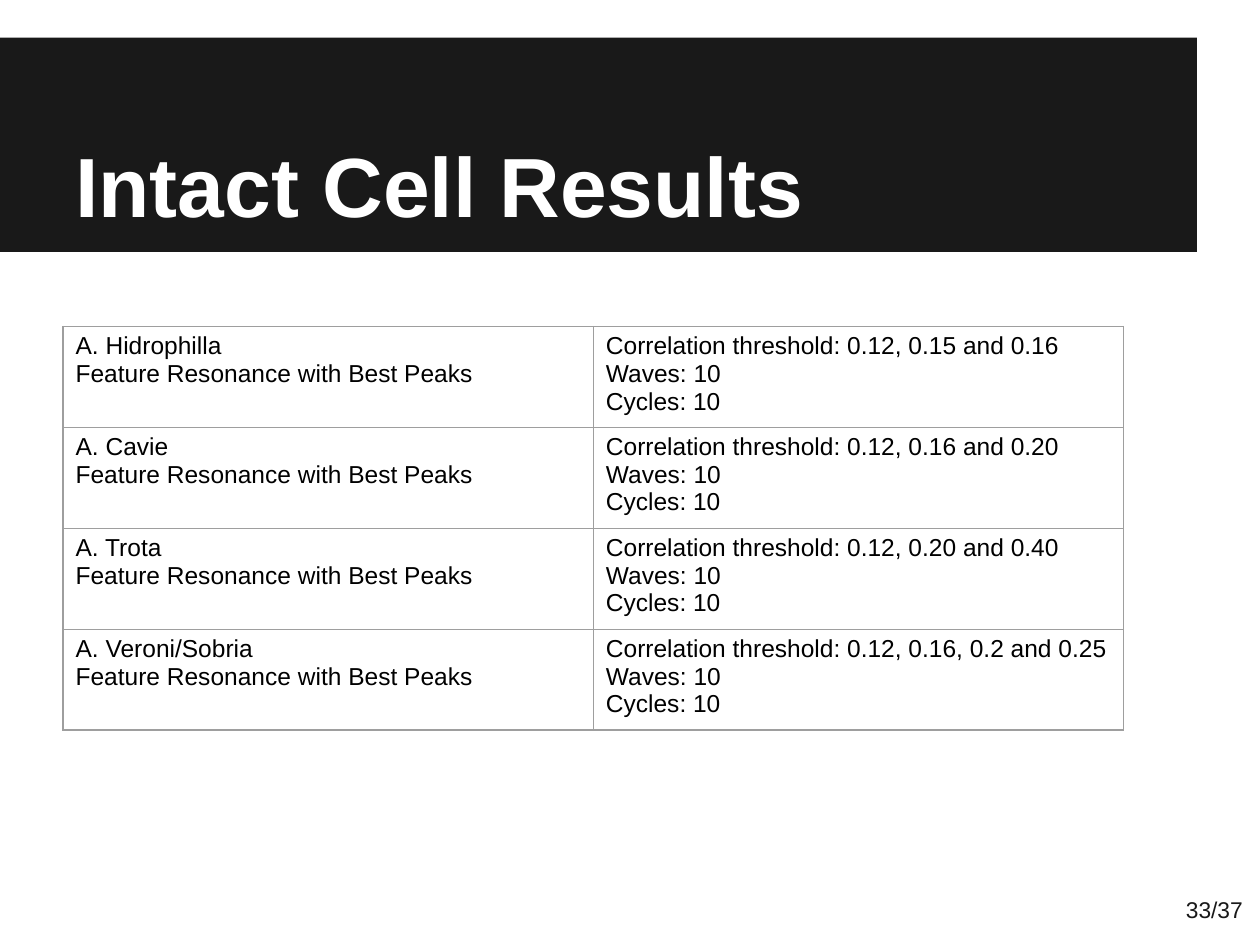
from lxml.etree import SubElement
from pptx import Presentation
from pptx.dml.color import RGBColor
from pptx.enum.shapes import MSO_SHAPE as SHAPE
from pptx.enum.text import MSO_ANCHOR as ANCHOR, PP_ALIGN as ALIGN
from pptx.oxml.ns import qn
from pptx.util import Cm, Pt

DARK = RGBColor(0x19, 0x19, 0x19)
WHITE = RGBColor(0xFF, 0xFF, 0xFF)
BLACK = RGBColor(0x00, 0x00, 0x00)
GREY = RGBColor(0x9E, 0x9E, 0x9E)

METHOD = "Feature Resonance with Best Peaks"
SETTINGS = "Waves: 10\nCycles: 10"
RESULTS = [
    ("A. Hidrophilla", "0.12, 0.15 and 0.16"),
    ("A. Cavie", "0.12, 0.16 and 0.20"),
    ("A. Trota", "0.12, 0.20 and 0.40"),
    ("A. Veroni/Sobria", "0.12, 0.16, 0.2 and 0.25"),
]


def set_attrs(obj, values):
    for name, value in values.items():
        setattr(obj, name, value)


def format_text(tf, size, color, bold=False, align=ALIGN.LEFT):
    for p in tf.paragraphs:
        p.alignment = align
        for r in p.runs:
            set_attrs(r.font, {"name": "Arial", "size": Pt(size), "bold": bold})
            r.font.color.rgb = color


def format_frame(tf, anchor):
    inset = Cm(0.25)
    set_attrs(tf, {"word_wrap": True, "vertical_anchor": anchor,
                   "margin_left": inset, "margin_right": inset,
                   "margin_top": inset, "margin_bottom": inset})


def set_borders(cell):
    tc_pr = cell._tc.get_or_add_tcPr()
    for index, side in enumerate(("lnL", "lnR", "lnT", "lnB")):
        ln = tc_pr.makeelement(qn(f"a:{side}"), {"w": str(Pt(0.75))})
        fill = SubElement(ln, qn("a:solidFill"))
        SubElement(fill, qn("a:srgbClr"), val=str(GREY))
        tc_pr.insert(index, ln)


def add_title_band(s, left, top, width, height):
    title = s.shapes.title
    band = s.shapes.add_shape(SHAPE.RECTANGLE, left, top, width, height)
    band.shadow.inherit = False
    band.fill.solid()
    band.fill.fore_color.rgb = DARK
    band.line.fill.background()
    title._element.addprevious(band._element)

    set_attrs(title, {"left": left + Cm(1.27), "top": top,
                      "width": width - Cm(1.27), "height": height - Cm(0.1)})
    tf = title.text_frame
    tf.text = "Intact Cell Results"
    format_frame(tf, ANCHOR.BOTTOM)
    format_text(tf, 48, WHITE, bold=True)


def add_results_table(s, left, top, width, height):
    frame = s.shapes.add_table(len(RESULTS), 2, left, top, width, height)
    table = frame.table
    set_attrs(table, {"first_row": False, "horz_banding": False})
    for row, (species, thresholds) in zip(table.rows, RESULTS):
        texts = (f"{species}\n{METHOD}",
                 f"Correlation threshold: {thresholds}\n{SETTINGS}")
        for cell, text in zip(row.cells, texts):
            cell.text = text
            cell.fill.solid()
            cell.fill.fore_color.rgb = WHITE
            format_text(cell.text_frame, 14, BLACK)
            set_borders(cell)


def add_page_number(s, left, top, width, height):
    tf = s.shapes.add_textbox(left, top, width, height).text_frame
    tf.text = "33/37"
    format_frame(tf, ANCHOR.MIDDLE)
    format_text(tf, 13, DARK, align=ALIGN.RIGHT)


def main():
    prs = Presentation()
    set_attrs(prs, {"slide_width": Cm(25.4), "slide_height": Cm(19.05)})
    s = prs.slides.add_slide(prs.slide_layouts[5])
    add_title_band(s, Cm(0), Cm(0.76), Cm(24.13), Cm(4.32))
    add_page_number(s, Cm(22.89), Cm(17.6), Cm(2.41), Cm(1.45))
    add_results_table(s, Cm(1.27), Cm(6.58), Cm(21.38), Cm(7.68))
    prs.save("out.pptx")


if __name__ == "__main__":
    main()
